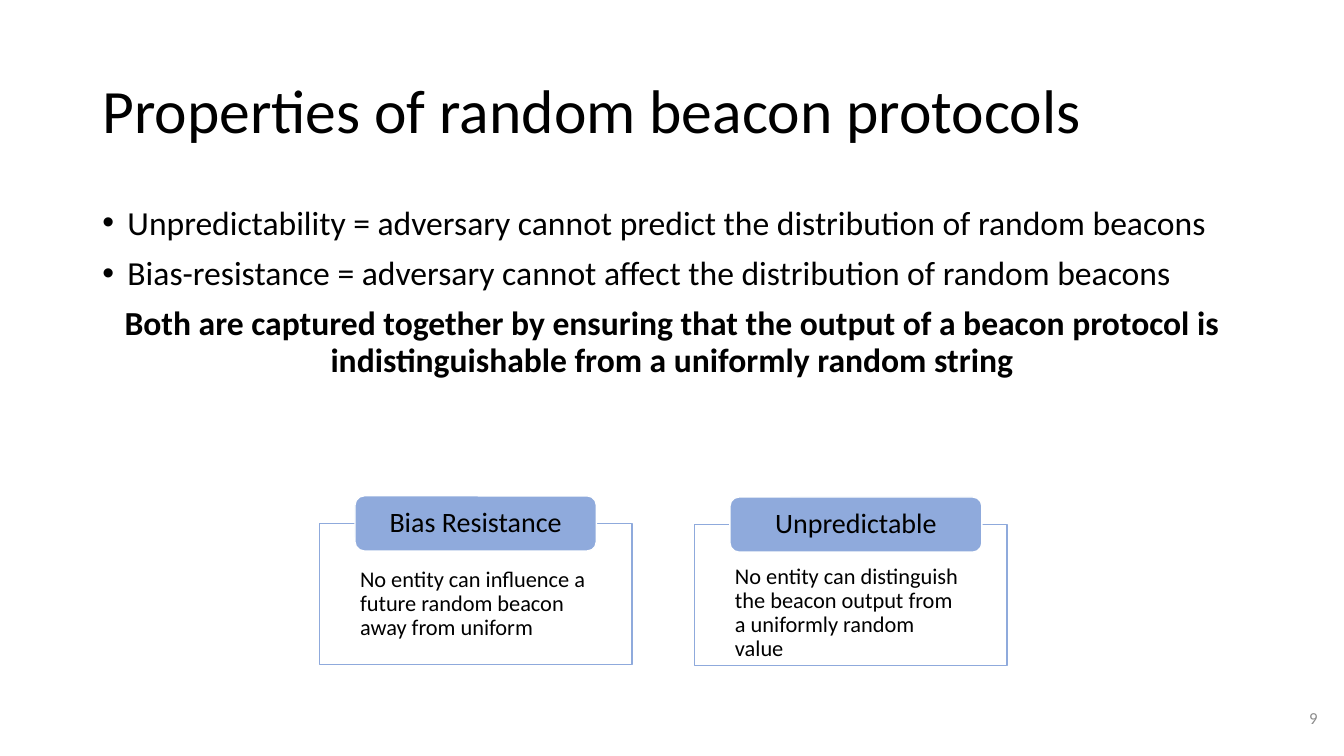
from lxml import etree
from pptx import Presentation
from pptx.dml.color import RGBColor
from pptx.enum.shapes import MSO_SHAPE
from pptx.enum.text import MSO_ANCHOR, MSO_AUTO_SIZE, PP_ALIGN
from pptx.oxml.ns import qn
from pptx.util import Pt

RECTANGLE, ROUNDED = MSO_SHAPE.RECTANGLE, MSO_SHAPE.ROUNDED_RECTANGLE
TOP, MIDDLE = MSO_ANCHOR.TOP, MSO_ANCHOR.MIDDLE
LEFT, CENTER, RIGHT = PP_ALIGN.LEFT, PP_ALIGN.CENTER, PP_ALIGN.RIGHT
COLORS = {"text": "000000", "white": "FFFFFF", "blue": "8FAADC", "number": "8C8C8C"}


def set_frame(box, anchor, insets=(7.2, 3.6, 7.2, 3.6)):
    frame = box.text_frame
    frame.word_wrap = True
    frame.auto_size = MSO_AUTO_SIZE.NONE
    frame.vertical_anchor = anchor
    frame.margin_left, frame.margin_top, frame.margin_right, frame.margin_bottom = map(Pt, insets)
    return frame


def write(para, text, size, align=LEFT, color="text", bold=False):
    para.alignment = align
    para.line_spacing = 0.9
    span = para.add_run()
    span.text = text
    span.font.name = "Calibri"
    span.font.size = Pt(size)
    span.font.bold = bold
    span.font.color.rgb = RGBColor.from_string(COLORS[color])


deck = Presentation()
deck.slide_width, deck.slide_height = Pt(960), Pt(540)
page = deck.slides.add_slide(deck.slide_layouts[5])

title = page.shapes.title
title.left, title.top, title.width, title.height = Pt(66), Pt(28.75), Pt(828), Pt(104.4)
write(set_frame(title, MIDDLE).paragraphs[0], "Properties of random beacon protocols", 44)

body = page.shapes.add_textbox(Pt(66), Pt(143.75), Pt(828), Pt(342.6))
frame = set_frame(body, TOP)
statements = [
    ("Unpredictability = adversary cannot predict the distribution of random beacons", True),
    ("Bias-resistance = adversary cannot affect the distribution of random beacons", True),
    ("Both are captured together by ensuring that the output of a beacon protocol is "
     "indistinguishable from a uniformly random string", False),
]
for index, (text, bulleted) in enumerate(statements):
    para = frame.paragraphs[0] if index == 0 else frame.add_paragraph()
    write(para, text, 24, LEFT if bulleted else CENTER, bold=not bulleted)
    if index:
        para.space_before = Pt(10)
    if bulleted:
        properties = para._p.get_or_add_pPr()
        properties.set("marL", str(Pt(18)))
        properties.set("indent", str(-Pt(18)))
        etree.SubElement(properties, qn("a:buFont")).set("typeface", "Arial")
        etree.SubElement(properties, qn("a:buChar")).set("char", "•")

cards = [
    (228.4, 373.8, 172.4, MIDDLE, "Bias Resistance",
     "No entity can influence a future random beacon away from uniform"),
    (496.2, 374.6, 180, TOP, "Unpredictable",
     "No entity can distinguish the beacon output from a uniformly random value"),
]
for left, top, label_width, anchor, name, meaning in cards:
    card = page.shapes.add_shape(RECTANGLE, Pt(left), Pt(top), Pt(223.2), Pt(101))
    label = page.shapes.add_shape(ROUNDED, Pt(left + 25.2), Pt(top - 19.6), Pt(label_width), Pt(39.4))
    for shape, fill, line in ((card, "white", "blue"), (label, "blue", "white")):
        shape.shadow.inherit = False
        shape.fill.solid()
        shape.fill.fore_color.rgb = RGBColor.from_string(COLORS[fill])
        shape.line.color.rgb = RGBColor.from_string(COLORS[line])
        shape.line.width = Pt(1)
    fill_color = card.fill._xPr.find(qn("a:solidFill"))[0]
    etree.SubElement(fill_color, qn("a:alpha")).set("val", "90000")
    write(set_frame(card, anchor, (28.8, 28.8, 28.8, 14.4)).paragraphs[0], meaning, 16)
    write(set_frame(label, MIDDLE, (13, 2.9, 13, 2.9)).paragraphs[0], name, 20, CENTER)

number = page.shapes.add_textbox(Pt(732.25), Pt(499), Pt(216), Pt(28.75))
write(set_frame(number, MIDDLE).paragraphs[0], "9", 12, RIGHT, "number")

deck.save("out.pptx")
